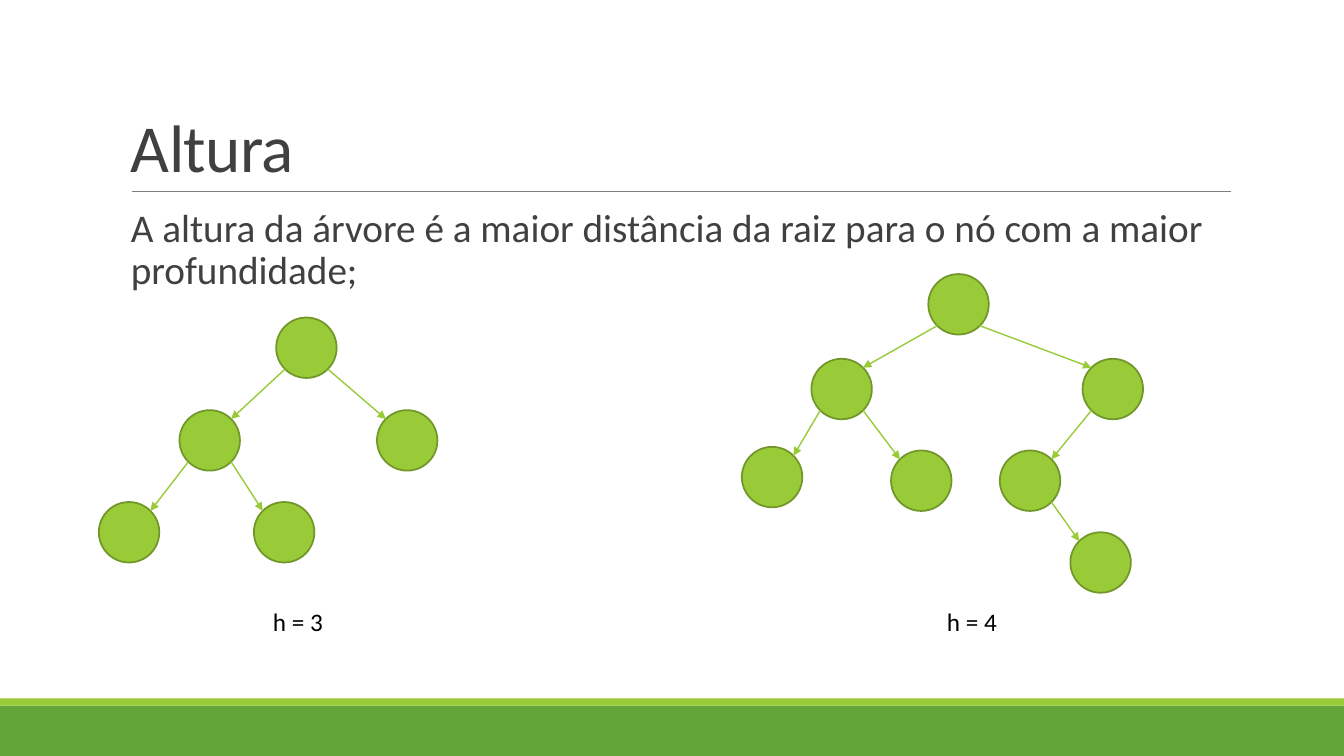
import pptx
import pptx.util
import pptx.dml.color
import pptx.enum.shapes
import pptx.enum.text
import pptx.oxml
import pptx.oxml.ns

Pt = pptx.util.Pt
RGB = pptx.dml.color.RGBColor
Kind = pptx.enum.shapes.MSO_SHAPE
Anchor = pptx.enum.text.MSO_ANCHOR

TITLE = "Altura"
BODY = "A altura da árvore é a maior distância da raiz para o nó com a maior profundidade;"
TREES = [
    {
        "nodes": [(197.3, 226.8), (128.2, 293), (269.3, 293), (70.6, 358.6), (181.4, 358.6)],
        "edges": [(0, 1), (0, 2), (1, 3), (1, 4)],
        "label": ("h = 3", 187.9),
    },
    {
        "nodes": [(663.1, 195.8), (579.6, 256.3), (773.3, 256.3), (529.9, 319.2),
                  (636.5, 321.8), (714.2, 321.8), (764.6, 380.2)],
        "edges": [(0, 1), (0, 2), (1, 3), (1, 4), (2, 5), (5, 6)],
        "label": ("h = 4", 669.3),
    },
]

GREEN = RGB(0x63, 0xA5, 0x37)
LIME = RGB(0x99, 0xCB, 0x38)
OLIVE = RGB(0x71, 0x96, 0x29)
GRAY = RGB(0x80, 0x80, 0x80)
DARK = RGB(0x40, 0x40, 0x40)
BLACK = RGB(0, 0, 0)
WIDE, HIGH = 960, 540
SIZE = 43.2
NEAR = SIZE * (1 - 0.5 ** 0.5) / 2
FAR = SIZE - NEAR

deck = pptx.Presentation()
deck.slide_width, deck.slide_height = Pt(WIDE), Pt(HIGH)
slide = deck.slides.add_slide(deck.slide_layouts[6])
shapes = slide.shapes


def add_form(kind, x, y, w, h, fill, edge=None):
    form = shapes.add_shape(kind, Pt(x), Pt(y), Pt(w), Pt(h))
    form.shadow.inherit = False
    form.fill.solid()
    form.fill.fore_color.rgb = fill
    if edge:
        form.line.color.rgb = edge
        form.line.width = Pt(1.25)
    else:
        form.line.fill.background()


def add_line(x1, y1, x2, y2, color, width, arrow=False):
    line = shapes.add_connector(pptx.enum.shapes.MSO_CONNECTOR.STRAIGHT,
                                Pt(x1), Pt(y1), Pt(x2), Pt(y2))
    line.line.color.rgb = color
    line.line.width = Pt(width)
    if arrow:
        tail = pptx.oxml.parse_xml("<a:tailEnd %s type='triangle'/>" % pptx.oxml.ns.nsdecls("a"))
        line.line._get_or_add_ln().append(tail)
    none = pptx.oxml.parse_xml("<a:effectLst %s/>" % pptx.oxml.ns.nsdecls("a"))
    line._element.spPr.append(none)


def add_text(text, x, y, w, h, size, color, wrap=True):
    frame = shapes.add_textbox(Pt(x), Pt(y), Pt(w), Pt(h)).text_frame
    frame.word_wrap = wrap
    frame.text = text
    font = frame.paragraphs[0].runs[0].font
    font.name = "Calibri"
    font.size = Pt(size)
    font.color.rgb = color
    return frame


def add_tree(tree):
    nodes = tree["nodes"]
    for x, y in nodes:
        add_form(Kind.OVAL, x, y, SIZE, SIZE, LIME, OLIVE)
    for top, low in tree["edges"]:
        (x1, y1), (x2, y2) = nodes[top], nodes[low]
        out, into = (NEAR, FAR) if x2 < x1 else (FAR, NEAR)
        add_line(x1 + out, y1 + FAR, x2 + into, y2 + NEAR, LIME, 1, True)
    text, left = tree["label"]
    add_text(text, left, 429.8, 51.1, 29.1, 18, BLACK, False)


add_form(Kind.RECTANGLE, 0, 504, WIDE, 36, GREEN)
add_form(Kind.RECTANGLE, 0, 498.8, WIDE, 5.2, LIME)
add_line(94.3, 136.8, 879.1, 136.8, GRAY, 0.5)

title = add_text(TITLE, 86.4, 22.6, 792, 114.2, 48, DARK)
title.vertical_anchor = Anchor.BOTTOM
head = title.paragraphs[0]
head.line_spacing = 0.85
head.runs[0].font._element.set("spc", "-50")

body = add_text(BODY, 86.4, 145.4, 792, 316.8, 28, DARK)
body.margin_right = 0
para = body.paragraphs[0]
para.line_spacing = 0.9
para.space_before, para.space_after = Pt(12), Pt(2)

for tree in TREES:
    add_tree(tree)

deck.save("out.pptx")
